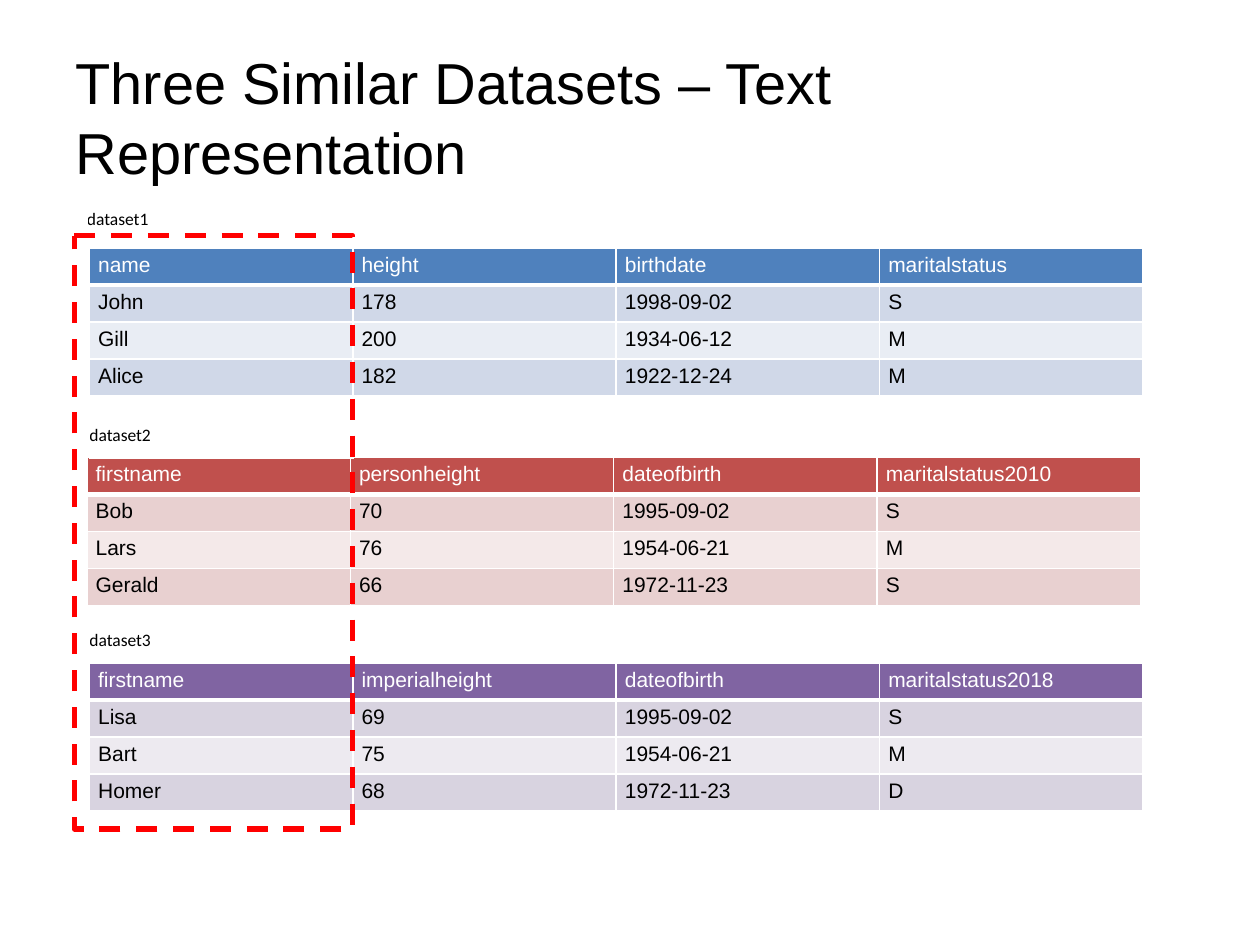
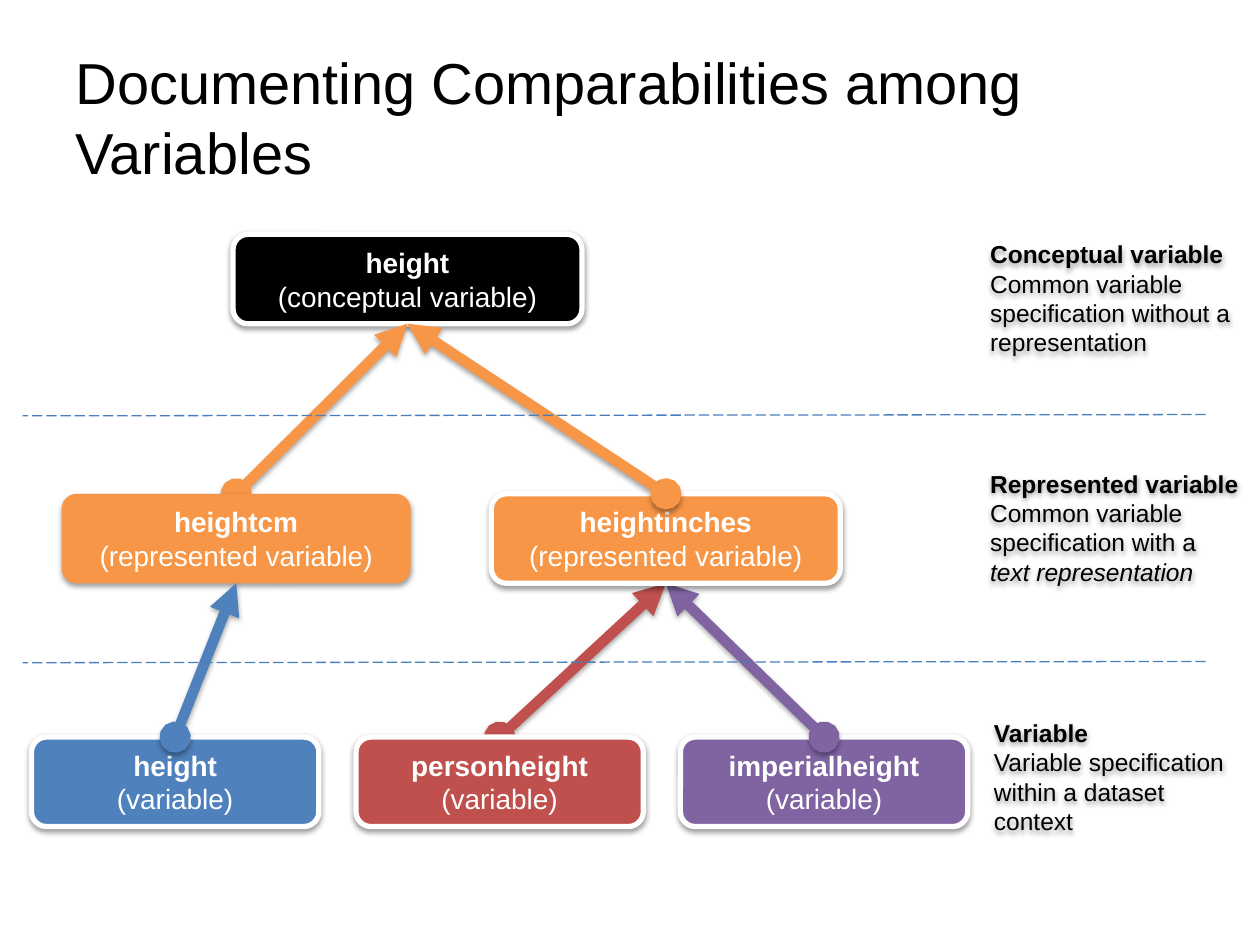
import pptx
import pptx.util
import pptx.dml.color
import pptx.enum.dml
import pptx.enum.shapes
import pptx.enum.text
import pptx.oxml
import pptx.oxml.ns
from dataclasses import dataclass
from lxml import etree

Pt = pptx.util.Pt
RGBColor = pptx.dml.color.RGBColor
Dash = pptx.enum.dml.MSO_LINE
ShapeKind = pptx.enum.shapes.MSO_SHAPE
Align = pptx.enum.text.PP_ALIGN
Anchor = pptx.enum.text.MSO_ANCHOR
AutoSize = pptx.enum.text.MSO_AUTO_SIZE


@dataclass(frozen=True)
class Theme:
    black: str = "000000"
    white: str = "FFFFFF"
    blue: str = "4F81BD"
    red: str = "C0504D"
    purple: str = "8064A2"
    orange: str = "F79646"
    highlight: str = "FF0000"
    divider: str = "4B7EBC"
    font: str = "Arial"
    label_font: str = "Calibri"
    title_size: float = 33
    box_size: float = 16
    note_size: float = 14
    cell_size: float = 12
    label_size: float = 10


THEME = Theme()

# Header colour, odd row tint, even row tint
BLUE_BANDS = (THEME.blue, "D0D8E8", "E9EDF4")
RED_BANDS = (THEME.red, "E8D0D0", "F4E9E9")
PURPLE_BANDS = (THEME.purple, "D8D3E0", "EDEAF0")

DATASETS = [  # label, label left, label top, table left, table top, bands, rows
    ("dataset1", 49.7, 116.6, 51.1, 141.8, BLUE_BANDS, [
        ("name", "height", "birthdate", "maritalstatus"),
        ("John", "178", "1998-09-02", "S"),
        ("Gill", "200", "1934-06-12", "M"),
        ("Alice", "182", "1922-12-24", "M")]),
    ("dataset2", 51.1, 239.8, 49.7, 261.4, RED_BANDS, [
        ("firstname", "personheight", "dateofbirth", "maritalstatus2010"),
        ("Bob", "70", "1995-09-02", "S"),
        ("Lars", "76", "1954-06-21", "M"),
        ("Gerald", "66", "1972-11-23", "S")]),
    ("dataset3", 51.1, 357.1, 51.1, 378.8, PURPLE_BANDS, [
        ("firstname", "imperialheight", "dateofbirth", "maritalstatus2018"),
        ("Lisa", "69", "1995-09-02", "S"),
        ("Bart", "75", "1954-06-21", "M"),
        ("Homer", "68", "1972-11-23", "D")]),
]
COLUMN_WIDTH, ROW_HEIGHT = 150.5, 21.15

# Diagram grid
BOX_HEIGHT, WIDE_BOX, NARROW_BOX = 51.1, 199.4, 164.2
CONCEPT_TOP, REPRESENTED_TOP, VARIABLE_TOP = 133.9, 282.2, 421.2
VARIABLE_LEFT, VARIABLE_STEP = 18, 185.4

BOXES = [  # key, name, kind, left, top, width, fill, outlined
    ("concept", "height", "conceptual variable",
     133.2, CONCEPT_TOP, WIDE_BOX, THEME.black, True),
    ("imperialheight", "imperialheight", "variable",
     VARIABLE_LEFT + 2 * VARIABLE_STEP, VARIABLE_TOP, NARROW_BOX, THEME.purple, True),
    ("heightinches", "heightinches", "represented variable",
     280.8, REPRESENTED_TOP, WIDE_BOX, THEME.orange, True),
    ("personheight", "personheight", "variable",
     VARIABLE_LEFT + VARIABLE_STEP, VARIABLE_TOP, NARROW_BOX, THEME.red, True),
    ("height", "height", "variable",
     VARIABLE_LEFT, VARIABLE_TOP, NARROW_BOX, THEME.blue, True),
    ("heightcm", "heightcm", "represented variable",
     35.3, REPRESENTED_TOP, WIDE_BOX, THEME.orange, False),
]
LINKS = [  # start, end, colour, box that covers the link
    ("imperialheight", "heightinches", THEME.purple, "heightinches"),
    ("personheight", "heightinches", THEME.red, "heightinches"),
    ("heightcm", "concept", THEME.orange, "heightcm"),
    ("height", "heightcm", THEME.blue, None),
    ("heightinches", "concept", THEME.orange, None),
]
NOTES = [  # left, top, width, heading, plain text, italic ending
    (558.7, 126.7, 161.3, "Conceptual variable",
     "Common variable specification without a representation", ""),
    (558.7, 257.8, 158.4, "Represented variable",
     "Common variable specification with a ", "text representation"),
    (560.9, 400.3, 151.2, "Variable",
     "Variable specification within a dataset context", ""),
]


def set_attributes(target, values):
    for name, value in values.items():
        setattr(target, name, value)


def rgb(color):
    return RGBColor.from_string(color)


def points(*lengths):
    return [Pt(length) for length in lengths]


def add_run(paragraph, text, size, color=THEME.black, font=THEME.font, **styles):
    run = paragraph.add_run()
    run.text = text
    set_attributes(run.font, {"name": font, "size": Pt(size), **styles})
    run.font.color.rgb = rgb(color)


def add_effects(shape, opacity=None, distance=1.6):
    """Replace theme effects by a downward shadow, or by none."""
    effects = etree.SubElement(shape.element.spPr, pptx.oxml.ns.qn("a:effectLst"))
    if opacity:
        effects.append(pptx.oxml.parse_xml(
            f'<a:outerShdw {pptx.oxml.ns.nsdecls("a")} blurRad="{Pt(3.1)}" '
            f'dist="{Pt(distance)}" dir="5400000" rotWithShape="0">'
            f'<a:srgbClr val="{THEME.black}"><a:alpha val="{opacity * 1000}"/>'
            '</a:srgbClr></a:outerShdw>'))


def add_titled_slide(presentation, title, width):
    slide = presentation.slides.add_slide(presentation.slide_layouts[5])
    shape = slide.shapes.title
    left, top, width, height = points(36, 21.6, width, 90)
    set_attributes(shape, {"left": left, "top": top, "width": width, "height": height})
    set_attributes(shape.text_frame, {"word_wrap": True, "auto_size": AutoSize.NONE,
                                      "vertical_anchor": Anchor.MIDDLE})
    paragraph = shape.text_frame.paragraphs[0]
    paragraph.alignment = Align.LEFT
    add_run(paragraph, title, THEME.title_size)
    return slide


def add_cell_borders(cell, bottom):
    properties = cell._tc.get_or_add_tcPr()
    for side, width in (("L", 1), ("R", 1), ("T", 1), ("B", bottom)):
        properties.append(pptx.oxml.parse_xml(
            f'<a:ln{side} {pptx.oxml.ns.nsdecls("a")} w="{Pt(width)}"><a:solidFill>'
            f'<a:srgbClr val="{THEME.white}"/></a:solidFill></a:ln{side}>'))


def add_grid(slide, left, top, rows, bands=None):
    """Add a banded table, or a plain label when no bands are given."""
    row_count, column_count = len(rows), len(rows[0])
    table = slide.shapes.add_table(row_count, column_count, *points(
        left, top, COLUMN_WIDTH * column_count, ROW_HEIGHT * row_count)).table
    set_attributes(table, {"first_row": False, "horz_banding": False})
    for row_index, values in enumerate(rows):
        is_header = row_index == 0
        for column_index, value in enumerate(values):
            cell = table.cell(row_index, column_index)
            set_attributes(cell, {
                "margin_left": Pt(5 if bands else 0), "margin_right": Pt(5),
                "margin_top": Pt(2.9), "margin_bottom": Pt(2.9)})
            add_cell_borders(cell, 3 if is_header else 1)
            paragraph = cell.text_frame.paragraphs[0]
            if bands:
                cell.fill.solid()
                band = 0 if is_header else 2 - row_index % 2
                cell.fill.fore_color.rgb = rgb(bands[band])
                add_run(paragraph, value, THEME.cell_size,
                        THEME.white if is_header else THEME.black)
            else:
                cell.fill.background()
                add_run(paragraph, value, THEME.label_size, font=THEME.label_font)


def add_highlight(slide, *box):
    shape = slide.shapes.add_shape(ShapeKind.ROUNDED_RECTANGLE, *points(*box))
    shape.adjustments[0] = 0
    shape.fill.background()
    shape.line.color.rgb = rgb(THEME.highlight)
    set_attributes(shape.line, {"width": Pt(3), "dash_style": Dash.DASH})
    shape.shadow.inherit = False


def add_variable_box(slide, name, kind, left, top, width, fill, outlined):
    shape = slide.shapes.add_shape(ShapeKind.ROUNDED_RECTANGLE,
                                   *points(left, top, width, BOX_HEIGHT))
    shape.fill.solid()
    shape.fill.fore_color.rgb = rgb(fill)
    if outlined:
        shape.line.color.rgb = rgb(THEME.white)
        shape.line.width = Pt(3)
    else:
        shape.line.fill.background()
    add_effects(shape, opacity=38)
    set_attributes(shape.text_frame, {"word_wrap": True, "vertical_anchor": Anchor.MIDDLE})
    paragraph = shape.text_frame.paragraphs[0]
    paragraph.alignment = Align.CENTER
    add_run(paragraph, name, THEME.box_size, THEME.white, bold=True)
    paragraph.add_line_break()
    add_run(paragraph, f"({kind})", THEME.box_size, THEME.white)
    return shape


def add_line(slide, ends, color, width):
    connector = slide.shapes.add_connector(
        pptx.enum.shapes.MSO_CONNECTOR.STRAIGHT, *points(*ends))
    connector.line.color.rgb = rgb(color)
    connector.line.width = Pt(width)
    return connector


def add_link(slide, start, end, color, cover):
    connector = add_line(slide, (0, 0, 0, 0), color, 6)
    connector.begin_connect(start, 0)
    connector.end_connect(end, 2)
    line = connector.line._get_or_add_ln()
    for tag, kind in (("a:headEnd", "oval"), ("a:tailEnd", "triangle")):
        etree.SubElement(line, pptx.oxml.ns.qn(tag), type=kind)
    add_effects(connector, opacity=35, distance=1.8)
    if cover is not None:
        cover.element.addprevious(connector.element)


def add_divider(slide, right_y):
    connector = add_line(slide, (689, right_y, 13, right_y + 0.7), THEME.divider, 0.75)
    connector.line.dash_style = Dash.LONG_DASH
    add_effects(connector)


def add_note(slide, left, top, width, heading, text, ending):
    shape = slide.shapes.add_textbox(*points(left, top, width, 87.1))
    add_effects(shape, opacity=38)
    frame = shape.text_frame
    set_attributes(frame, {"word_wrap": True, "vertical_anchor": Anchor.MIDDLE})
    add_run(frame.paragraphs[0], heading, THEME.note_size, bold=True)
    body = frame.add_paragraph()
    add_run(body, text, THEME.note_size)
    if ending:
        add_run(body, ending, THEME.note_size, italic=True)


def build_datasets_slide(presentation):
    slide = add_titled_slide(
        presentation, "Three Similar Datasets – Text Representation", 663.8)
    for label, label_left, label_top, left, top, bands, rows in DATASETS:
        add_grid(slide, left, top, rows, bands)
        add_grid(slide, label_left, label_top, [(label,)])
    add_highlight(slide, 42.5, 134.6, 159.1, 339.1)


def build_comparability_slide(presentation):
    slide = add_titled_slide(
        presentation, "Documenting Comparabilities among Variables", 648)
    boxes = {key: add_variable_box(slide, *details) for key, *details in BOXES}
    for start, end, color, cover in LINKS:
        add_link(slide, boxes[start], boxes[end], color, boxes.get(cover))
    for right_y in (236.9, 378):
        add_divider(slide, right_y)
    for note in NOTES:
        add_note(slide, *note)


def main():
    presentation = pptx.Presentation()
    set_attributes(presentation, {"slide_width": Pt(720), "slide_height": Pt(540)})
    build_datasets_slide(presentation)
    build_comparability_slide(presentation)
    presentation.save("out.pptx")


if __name__ == "__main__":
    main()
